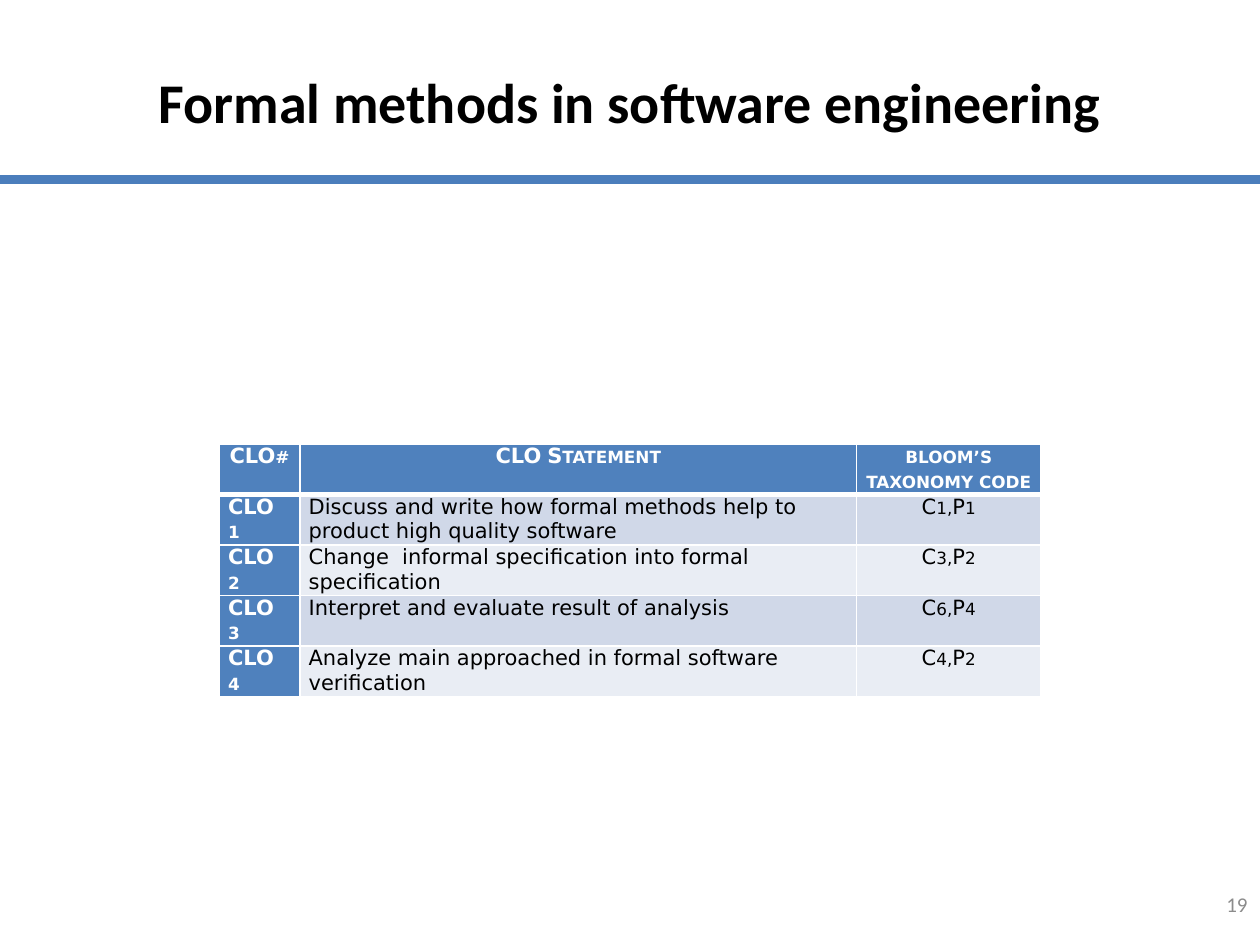
"""Build the slide of course learning outcomes for formal methods."""
from dataclasses import dataclass
from typing import Optional

from lxml import etree
from pptx import Presentation
from pptx import util as u
from pptx.dml.color import RGBColor
from pptx.enum import shapes, text
from pptx.oxml import ns

WIDTH, HEIGHT = u.Inches(10), u.Inches(7.5)
COLORS = {
    "rule": "4B7EBC", "header": "4F81BD", "odd": "D0D8E8", "even": "E9EDF4",
    "black": "000000", "white": "FFFFFF", "gray": "8C8C8C",
}
COLUMN_SHARES = (0.064, 0.442, 0.146)
ROW_SHARE = 0.052


@dataclass(frozen=True)
class TextStyle:
    size: float
    color: str
    font: str = "DejaVu Sans"
    bold: bool = False
    small_caps: bool = False
    align: Optional[text.PP_ALIGN] = None


@dataclass(frozen=True)
class Label:
    wording: str
    left: float
    top: float
    width: float
    height: float
    style: TextStyle


@dataclass(frozen=True)
class Outcome:
    code: str
    statement: str
    taxonomy: str


CENTER = text.PP_ALIGN.CENTER
HEADING = TextStyle(12, "white", bold=True, small_caps=True, align=CENTER)
CODE = TextStyle(12, "white", bold=True, small_caps=True, align=text.PP_ALIGN.JUSTIFY)
STATEMENT = TextStyle(12, "black")
TAXONOMY = TextStyle(12, "black", small_caps=True, align=CENTER)

LABELS = (
    Label("19", 0.767, 0.93, 0.233, 0.053,
          TextStyle(12, "gray", "Calibri", align=text.PP_ALIGN.RIGHT)),
    Label("Formal methods in software engineering", 0.05, 0.023, 0.9, 0.167,
          TextStyle(32, "black", "Calibri", bold=True, align=CENTER)),
)
OUTCOMES = (
    Outcome("CLO#", "CLO Statement", "bloom’s taxonomy code"),
    Outcome("CLO 1", "Discuss and write how formal methods help to product high quality software", "C1,P1"),
    Outcome("CLO 2", "Change  informal specification into formal specification", "C3,P2"),
    Outcome("CLO 3", "Interpret and evaluate result of analysis", "C6,P4"),
    Outcome("CLO 4", "Analyze main approached in formal software verification", "C4,P2"),
)


def rgb(name: str) -> RGBColor:
    return RGBColor.from_string(COLORS[name])


def across(share: float) -> int:
    return round(WIDTH * share)


def down(share: float) -> int:
    return round(HEIGHT * share)


def write(text_frame, wording: str, style: TextStyle) -> None:
    text_frame.text = wording
    paragraph = text_frame.paragraphs[0]
    paragraph.alignment = style.align
    for run in paragraph.runs:
        run.font.size = u.Pt(style.size)
        run.font.name = style.font
        run.font.bold = style.bold
        run.font.color.rgb = rgb(style.color)
        if style.small_caps:
            run._r.get_or_add_rPr().set("cap", "small")


def draw_label(slide, label: Label) -> None:
    shape = slide.shapes.add_textbox(across(label.left), down(label.top),
                                     across(label.width), down(label.height))
    shape.text_frame.word_wrap = True
    shape.text_frame.vertical_anchor = text.MSO_ANCHOR.MIDDLE
    write(shape.text_frame, label.wording, label.style)


def draw_rule(slide, height: float) -> None:
    connector = slide.shapes.add_connector(
        shapes.MSO_CONNECTOR.STRAIGHT, 0, down(height), WIDTH, down(height))
    connector.line.color.rgb = rgb("rule")
    connector.line.width = u.Pt(5)
    etree.SubElement(connector._element.spPr, ns.qn("a:effectLst"))


def add_borders(cell, row: int) -> None:
    properties = cell._tc.get_or_add_tcPr()
    widths = {"lnL": 1, "lnR": 1, "lnT": 3 if row == 1 else 1, "lnB": 3 if row == 0 else 1}
    for side, width in widths.items():
        line = etree.SubElement(properties, ns.qn(f"a:{side}"), w=str(u.Pt(width)))
        fill = etree.SubElement(line, ns.qn("a:solidFill"))
        etree.SubElement(fill, ns.qn("a:srgbClr"), val=COLORS["white"])


def draw_cell(cell, row: int, wording: str, style: TextStyle, fill: str) -> None:
    cell.margin_left = cell.margin_right = u.Inches(0.07)
    cell.margin_top = cell.margin_bottom = 0
    add_borders(cell, row)
    cell.fill.solid()
    cell.fill.fore_color.rgb = rgb(fill)
    write(cell.text_frame, wording, style)


def draw_outcomes(slide, left: float, top: float) -> None:
    table = slide.shapes.add_table(
        len(OUTCOMES), len(COLUMN_SHARES), across(left), down(top),
        across(sum(COLUMN_SHARES)), down(ROW_SHARE * len(OUTCOMES))).table
    for column, share in zip(table.columns, COLUMN_SHARES):
        column.width = across(share)
    for row, outcome in enumerate(OUTCOMES):
        table.rows[row].height = down(ROW_SHARE)
        band = "odd" if row % 2 else "even"
        styles = (CODE, STATEMENT, TAXONOMY) if row else (HEADING,) * 3
        fills = ("header", band, band) if row else ("header",) * 3
        wordings = (outcome.code, outcome.statement, outcome.taxonomy)
        for column, (wording, style, fill) in enumerate(zip(wordings, styles, fills)):
            draw_cell(table.cell(row, column), row, wording, style, fill)


def main() -> None:
    presentation = Presentation()
    presentation.slide_width, presentation.slide_height = WIDTH, HEIGHT
    slide = presentation.slides.add_slide(presentation.slide_layouts[6])
    draw_rule(slide, 0.19)
    for label in LABELS:
        draw_label(slide, label)
    draw_outcomes(slide, 0.174, 0.47)
    presentation.save("out.pptx")


if __name__ == "__main__":
    main()
